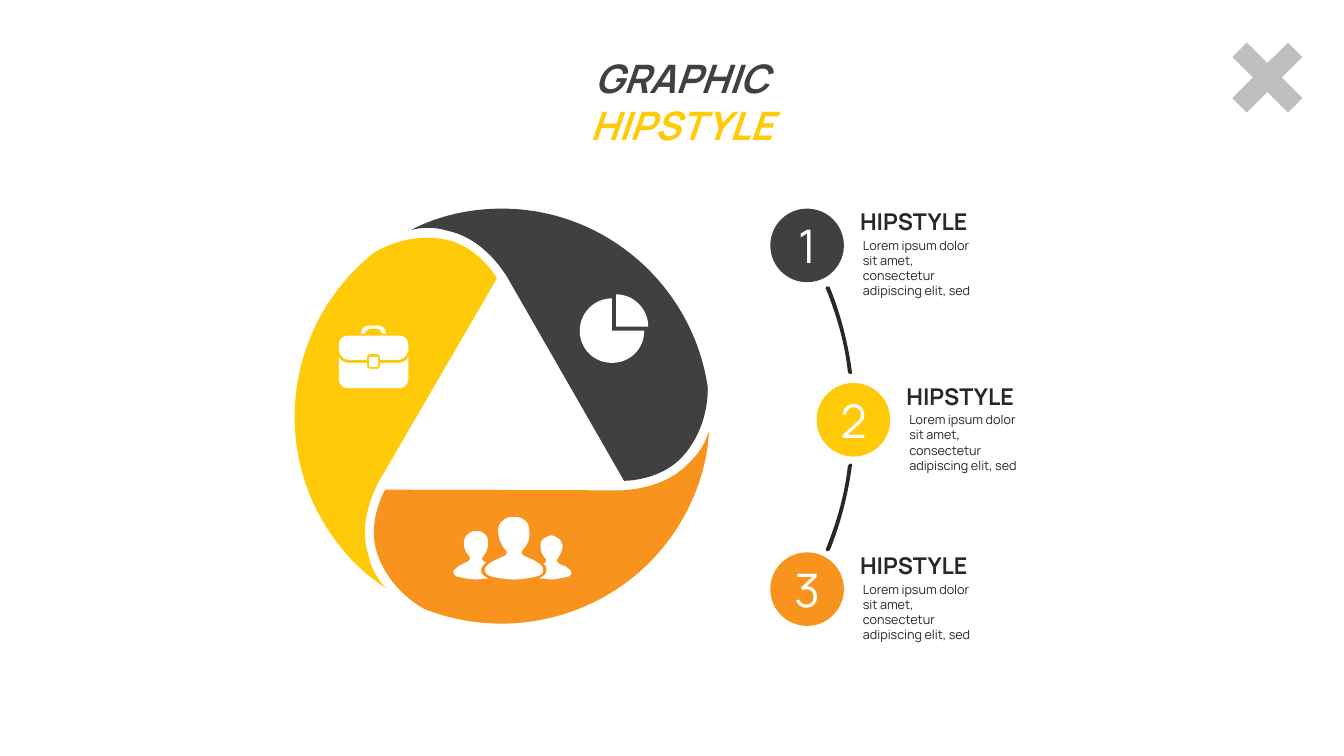
"""Build a slide with a three-petal ring and a numbered list beside it."""
from dataclasses import dataclass
from math import cos, radians, sin
from typing import NamedTuple

from pptx import Presentation
from pptx.dml.color import RGBColor
from pptx.enum.shapes import MSO_SHAPE
from pptx.enum.text import MSO_ANCHOR, MSO_AUTO_SIZE, PP_ALIGN
from pptx.oxml.ns import qn
from pptx.util import Inches, Pt

OVAL, CROSS = MSO_SHAPE.OVAL, MSO_SHAPE.CROSS
MIDDLE, CENTER, LEFT = MSO_ANCHOR.MIDDLE, PP_ALIGN.CENTER, PP_ALIGN.LEFT
GROW = MSO_AUTO_SIZE.SHAPE_TO_FIT_TEXT


@dataclass(frozen=True)
class Theme:
    """Colours, font and type sizes of the slide."""
    font: str = "Manrope"
    dark: str = "404040"
    yellow: str = "FFCA08"
    orange: str = "F8931D"
    white: str = "FFFFFF"
    grey: str = "BFBFBF"
    ink: str = "282828"
    body: str = "262626"
    title_pt: float = 28
    number_pt: float = 33
    heading_pt: float = 16.5
    body_pt: float = 9


class Box(NamedTuple):
    """Left, top, width and height in inches."""
    left: float
    top: float
    width: float
    height: float

    def inner(self, dx, dy, width, height):
        """Return a box offset from this one's corner."""
        return Box(self.left + dx, self.top + dy, width, height)

    def emu(self):
        """Return the four lengths for python-pptx."""
        return [Inches(v) for v in self]


T = Theme()
COLORS = (T.dark, T.yellow, T.orange)
LOREM = "Lorem ipsum dolor sit amet, consectetur adipiscing elit, sed"

PETAL = [
    "204 -29, 189 -130 102 -206 0 -206, -32 -206 -63 -199 -90 -185,"
    "-85 -186 -80 -187 -74 -187, -67 -187 -60 -186 -54 -184,"
    "-17 -176 2 -142 4 -140, 121 64, 130 64 160 61 179 40, 206 10 204 -27 204 -29"]
LINK = [
    "24 87, 23 87 23 86 22 85, 19 57 11 29 0 2, 0 1 0 1 1 0, 2 0 3 0 4 1,"
    "15 28 22 56 26 85, 26 86 26 87 25 87"]
PIE = [
    "32 36, 64 36, 64 54 50 68 32 68, 14 68 0 54 0 36, 0 19 14 4 32 4",
    "36 0, 36 32, 68 32, 68 15 54 0 36 0"]
BRIEFCASE = [
    "47 8, 43 8, 42 5 41 3 38 3, 31 3, 28 3 26 5 26 8, 22 8, 22 3 26 0 30 0,"
    "39 0, 43 0 47 3 47 8",
    "10 34, 28 34, 28 32, 28 30 29 28 31 28, 38 28, 40 28 41 30 41 32, 41 34,"
    "59 34, 64 34 68 30 69 24, 69 19, 69 14 65 10 61 10, 8 10, 4 10 0 14 0 19,"
    "0 24, 1 30 5 34 10 34",
    "59 37, 41 37, 41 40, 41 42 40 43 38 43, 31 43, 29 43 28 42 28 40, 28 37,"
    "10 37, 6 37 2 35 0 31, 0 53, 0 58 4 62 8 62, 61 62, 65 62 69 58 69 53,"
    "69 31, 67 35 63 37 59 37",
    "38 31, 31 31, 31 31 30 31 30 32, 30 39, 30 40 31 41 31 41, 38 41,"
    "38 41 39 40 39 39, 39 32, 39 31 38 31 38 31"]
PEOPLE = [
    "86 58, 80 60 74 61 61 62, 47 61 41 60 36 58, 31 56 31 51 34 48,"
    "37 45 41 43 50 39, 54 38 55 34 52 32, 47 26 45 20 45 13, 45 6 50 2 56 0,"
    "65 0, 72 2 76 6 76 13, 77 20 75 27 70 32, 67 34 68 38 72 39,"
    "81 43 85 45 88 48, 90 50 91 56 86 58",
    "116 52, 114 50 112 49 105 46, 103 45 102 42 104 41, 107 37 109 33 109 28,"
    "108 23 105 20 98 18, 90 20 87 23 87 28, 87 33 88 37 92 41,"
    "94 42 93 45 90 46, 93 49 94 51 93 54, 93 56 91 58 86 61,"
    "90 61 93 61 98 62, 103 61 107 61 115 59, 119 57 118 54 116 52",
    "28 54, 28 52 28 49 33 45, 31 44, 29 43 28 41 30 39, 34 35 35 30 35 24,"
    "35 19 32 16 27 14, 20 14, 15 16 12 19 11 24, 11 30 12 35 17 39,"
    "18 41 17 43 15 44, 11 46, 8 47 5 49 2 52, 0 54 0 57 4 59,"
    "8 60 13 61 23 62, 28 61 32 61 35 61, 30 58 28 56 28 54"]


def paint(sp, color):
    """Give a shape a plain fill without line or shadow."""
    sp.shadow.inherit = False
    sp.fill.solid()
    sp.fill.fore_color.rgb = RGBColor.from_string(color)
    sp.line.fill.background()


def read_contour(contour):
    """Return the points of a contour and the point count of each segment."""
    rows = [[float(v) for v in part.split()] for part in contour.split(",")]
    points = [pair for row in rows for pair in zip(row[::2], row[1::2])]
    return points, [len(row) // 2 for row in rows[1:]]


def bend(sp, counts):
    """Join each run of three line segments into one Bezier curve."""
    edges = iter(list(sp._element.iter(qn("a:lnTo"))))
    for count in counts:
        first, *rest = [next(edges) for _ in range(count)]
        if rest:
            first.tag = qn("a:cubicBezTo")
        for edge in rest:
            first.append(edge[0])
            edge.getparent().remove(edge)


def add_outline(shapes, contours, left, top, color, turn=0, flip=1):
    """Draw hundredths of an inch at a point, turned in degrees or flipped."""
    k, m = cos(radians(turn)), sin(radians(turn))
    builder, counts = None, []
    for contour in contours:
        raw, sizes = read_contour(contour)
        counts += sizes
        points = [(Inches((x * k - y * flip * m) / 100),
                   Inches((x * m + y * flip * k) / 100)) for x, y in raw]
        if builder is None:
            builder = shapes.build_freeform(*points[0], scale=1.0)
        else:
            builder.move_to(*points[0])
        builder.add_line_segments(points[1:], close=True)
    sp = builder.convert_to_shape(Inches(left), Inches(top))
    bend(sp, counts)
    paint(sp, color)


def set_text(sp, runs, align=LEFT, wrap=True, inset=True, bold=False, italic=False):
    """Fill a shape with one paragraph of (text, size, colour) runs."""
    tf = sp.text_frame
    tf.word_wrap = wrap
    if not inset:
        tf.margin_left = tf.margin_right = tf.margin_top = tf.margin_bottom = 0
    p = tf.paragraphs[0]
    p.alignment = align
    for text, size, color in runs:
        r = p.add_run()
        r.text = text
        r.font.name, r.font.size = T.font, Pt(size)
        r.font.bold, r.font.italic = bold, italic
        r.font.color.rgb = RGBColor.from_string(color)
    return tf


def add_title(shapes, box):
    """Place the two-colour title."""
    tf = set_text(shapes.add_textbox(*box.emu()),
                  [("GRAPHIC", T.title_pt, T.dark), (" HIPSTYLE", T.title_pt, T.yellow)],
                  CENTER, bold=True, italic=True)
    tf.auto_size = GROW


def add_cross(shapes, box):
    """Place the corner cross."""
    sp = shapes.add_shape(CROSS, *box.emu())
    sp.adjustments[0] = 0.37
    sp.rotation = 45
    paint(sp, T.grey)


def add_ring(shapes, box):
    """Place three petals a third of a turn apart, and their icons."""
    cx, cy = box.left + box.width / 2, box.top + box.height / 2
    for color, turn in zip(COLORS, (0, 240, 120)):
        add_outline(shapes, PETAL, cx, cy, color, turn)
    for icon, dx, dy in ((PIE, 2.83, 0.85), (BRIEFCASE, 0.44, 1.16), (PEOPLE, 1.57, 3.06)):
        add_outline(shapes, icon, box.left + dx, box.top + dy, T.white)


def add_item(shapes, box, number, color):
    """Place a numbered disc with its heading and description."""
    sp = shapes.add_shape(OVAL, *box.inner(0, 0, 0.73, 0.73).emu())
    paint(sp, color)
    tf = set_text(sp, [(str(number), T.number_pt, T.white)], CENTER, False, False)
    tf.vertical_anchor = MIDDLE
    set_text(shapes.add_textbox(*box.inner(0.89, -0.01, 1.09, 0.28).emu()),
             [("HIPSTYLE", T.heading_pt, T.ink)], wrap=False, inset=False, bold=True)
    set_text(shapes.add_textbox(*box.inner(0.82, 0.24, 1.39, 0.71).emu()),
             [(LOREM, T.body_pt, T.body)])


def add_list(shapes, box):
    """Place the three items and the two mirrored links between them."""
    for i, (color, dx, dy) in enumerate(zip(COLORS, (0, 0.46, 0), (0, 1.73, 3.41))):
        add_item(shapes, box.inner(dx, dy, 2.21, 0.95), i + 1, color)
    for dy, flip in ((0.77, 1), (3.4, -1)):
        add_outline(shapes, LINK, box.left + 0.55, box.top + dy, T.ink, flip=flip)


def main():
    """Build and save the slide."""
    prs = Presentation()
    prs.slide_width, prs.slide_height = Inches(13.33), Inches(7.5)
    s = prs.slides.add_slide(prs.slide_layouts[6])
    add_cross(s.shapes, Box(12.18, 0.38, 0.78, 0.78))
    add_title(s.shapes, Box(4.88, 0.49, 3.76, 0.57))
    add_ring(s.shapes, Box(2.92, 2.07, 4.12, 4.12))
    add_list(s.shapes, Box(7.64, 2.07, 2.67, 4.36))
    prs.save("out.pptx")


main()
